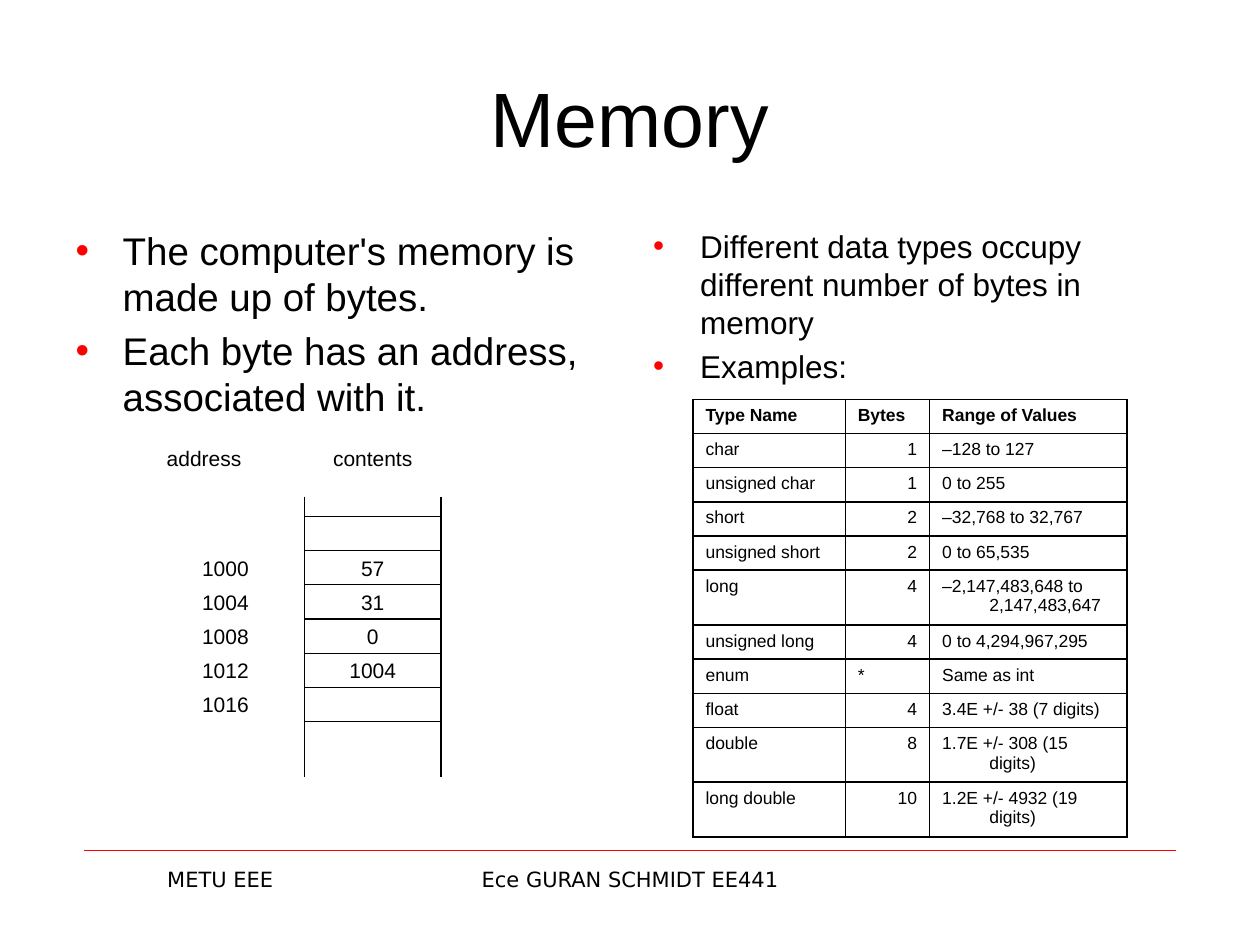
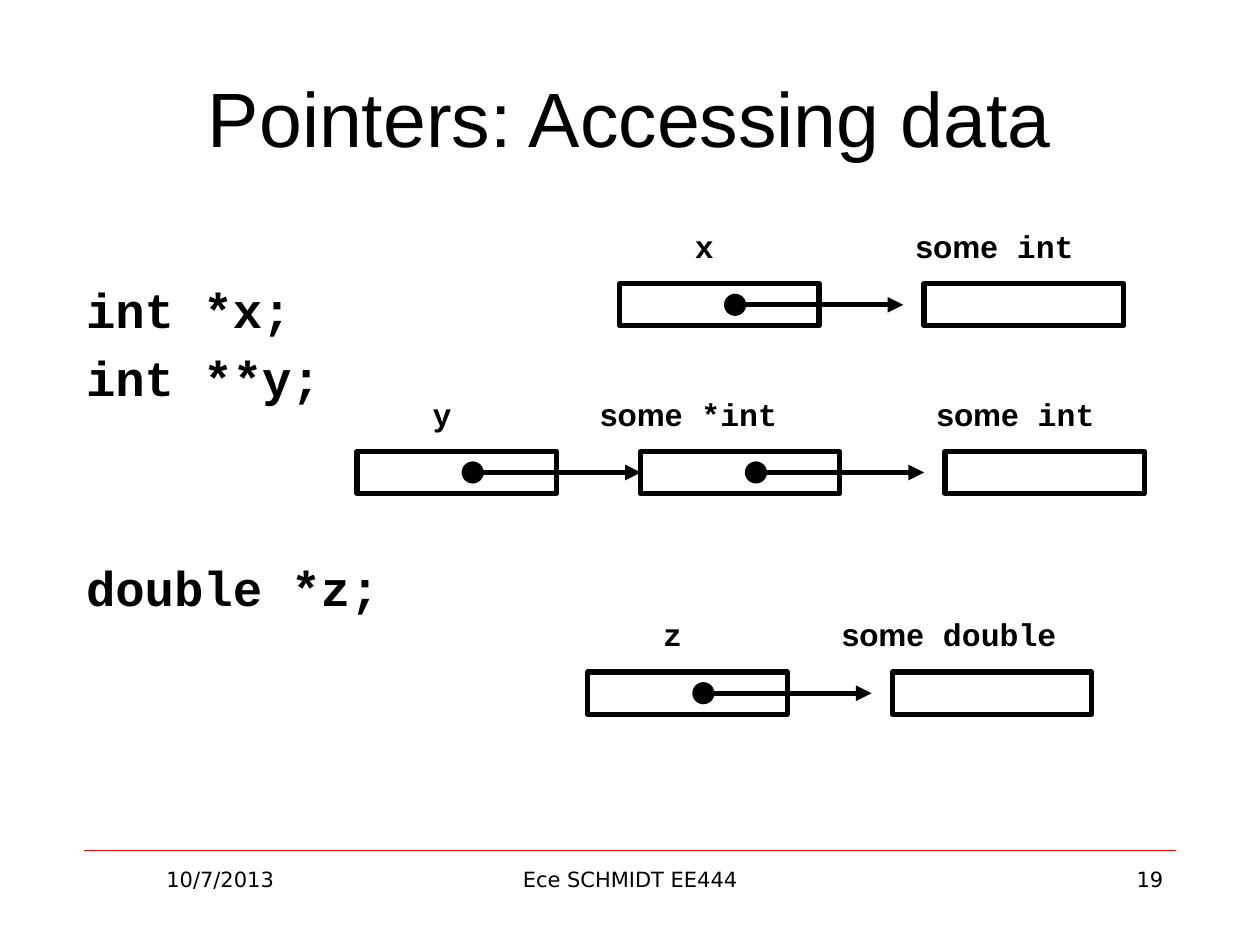
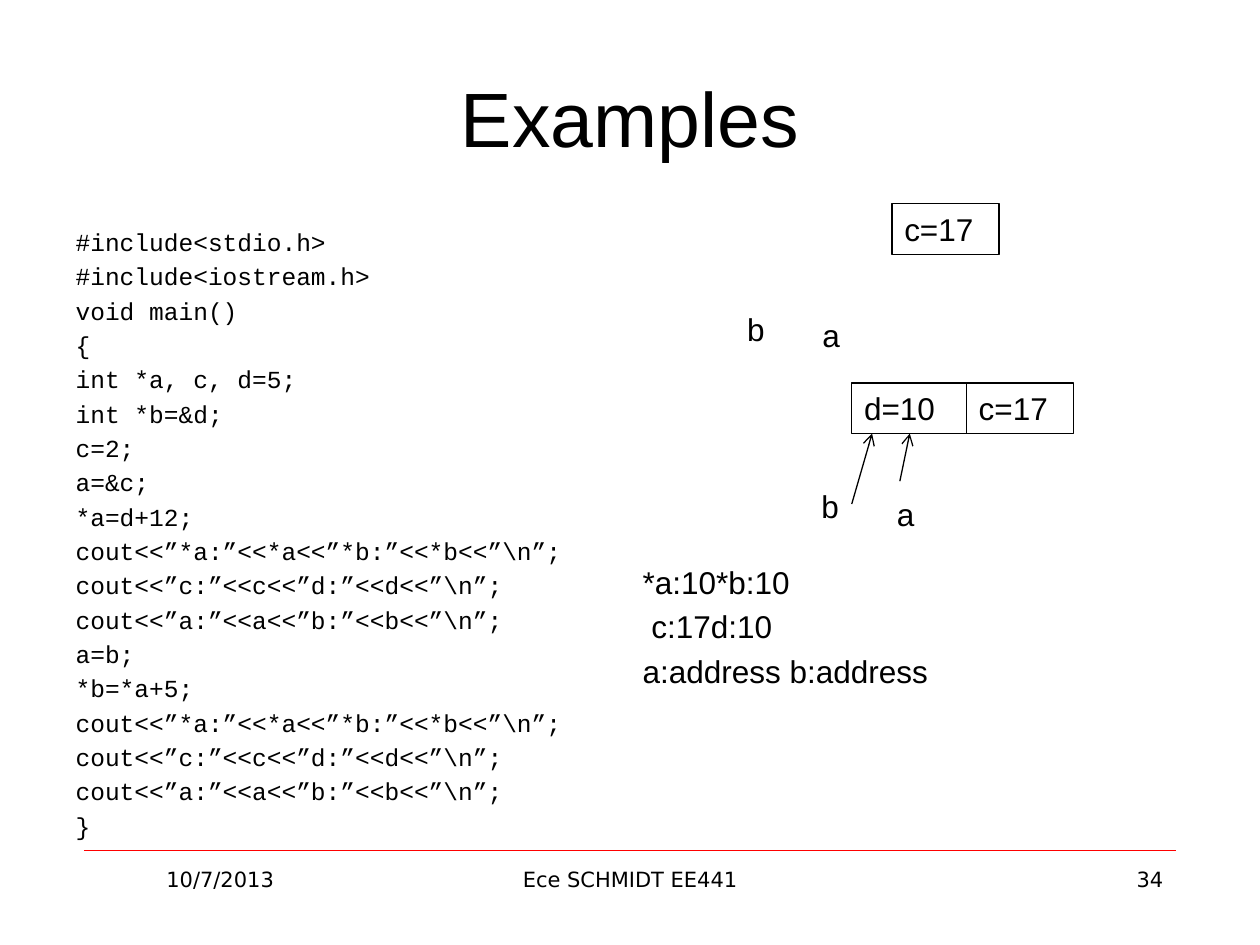
"""Builds three lecture slides about memory and pointers."""
from dataclasses import dataclass

from lxml import etree
from pptx import Presentation
from pptx.dml.color import RGBColor
from pptx.enum.shapes import MSO_CONNECTOR, MSO_SHAPE
from pptx.enum.text import MSO_ANCHOR, MSO_AUTO_SIZE, PP_ALIGN
from pptx.oxml.ns import qn
from pptx.util import Cm, Pt

LEFT, CENTER, RIGHT = PP_ALIGN.LEFT, PP_ALIGN.CENTER, PP_ALIGN.RIGHT
TOP, MIDDLE = MSO_ANCHOR.TOP, MSO_ANCHOR.MIDDLE
RECTANGLE, OVAL = MSO_SHAPE.RECTANGLE, MSO_SHAPE.OVAL
STRAIGHT = MSO_CONNECTOR.STRAIGHT
NO_FIT = MSO_AUTO_SIZE.NONE
ONE_BODY, TWO_BODIES = 1, 3


@dataclass(frozen=True)
class Theme:
    """Colours, fonts, type sizes and line widths of the deck."""
    ink: str = "000000"
    accent: str = "FF0000"
    sans: str = "Arial"
    mono: str = "Courier New"
    small_print: str = "DejaVu Sans"
    title: int = 44
    declaration: int = 28
    lead: int = 22
    text: int = 18
    code: int = 14
    caption: int = 12
    cell: int = 10
    hairline: float = 0.25
    thin: float = 0.75
    grid: float = 1
    thick: float = 3
    hang: float = 0.95


THEME = Theme()


@dataclass(frozen=True)
class Box:
    """A rectangle in centimetres."""
    left: float
    top: float
    width: float
    height: float

    def inner(self, dx, dy, width, height):
        """Return a box placed relative to this one."""
        return Box(self.left + dx, self.top + dy, width, height)

    def lengths(self):
        """Return left, top, width and height as lengths."""
        return [Cm(v) for v in (self.left, self.top, self.width, self.height)]


TITLE_BOX = Box(1.27, 0.76, 22.86, 3.18)
FOOTER_BOX = Box(1.69, 17.15, 22.01, 1.52)
LEFT_COLUMN = Box(1.27, 4.45, 11.23, 4.88)
RIGHT_COLUMN = Box(12.91, 4.45, 11.23, 4.24)


def apply(target, values):
    """Set each named attribute of the target."""
    for name, value in values.items():
        setattr(target, name, value)


def font_style(size, name=THEME.sans, bold=False):
    """Return the format values of a font."""
    return {"name": name, "size": Pt(size), "bold": bold}


def write(frame, paras, style, align=LEFT, **frame_format):
    """Fill a frame; a paragraph is a string or a list of (text, style)."""
    apply(frame, {"word_wrap": True, **frame_format})
    for index, spans in enumerate(paras):
        para = frame.add_paragraph() if index else frame.paragraphs[0]
        para.alignment = align
        if isinstance(spans, str):
            spans = [(spans, style)]
        for text, span_style in spans:
            span = para.add_run()
            span.text = text
            apply(span.font, span_style)
            span.font.color.rgb = RGBColor.from_string(THEME.ink)


def hang_indent(para, marker=None):
    """Give a paragraph a hanging indent and, if set, a coloured bullet."""
    props = para._p.get_or_add_pPr()
    props.set("marL", str(Cm(THEME.hang)))
    props.set("indent", str(-Cm(THEME.hang)))
    if marker:
        colour = etree.SubElement(props, qn("a:buClr"))
        etree.SubElement(colour, qn("a:srgbClr"), val=THEME.accent)
        etree.SubElement(props, qn("a:buFont"), typeface=THEME.sans)
        etree.SubElement(props, qn("a:buChar"), char=marker)


def no_bullet(para):
    """Set a list paragraph flush left without a bullet."""
    props = para._p.get_or_add_pPr()
    apply_xml = {"marL": "0", "indent": "0"}
    for name, value in apply_xml.items():
        props.set(name, value)
    etree.SubElement(props, qn("a:buNone"))


def fill_body(body, box, lines, style, marker=None):
    """Place a body placeholder and write its list; return its paragraphs."""
    apply(body, dict(zip(("left", "top", "width", "height"), box.lengths())))
    write(body.text_frame, lines, style, auto_size=NO_FIT, vertical_anchor=TOP)
    for para in body.text_frame.paragraphs:
        if marker:
            hang_indent(para, marker)
        else:
            no_bullet(para)
    return body.text_frame.paragraphs


def add_label(shapes, box, spans, style, align=LEFT, **frame_format):
    """Add a one-paragraph text box."""
    label = shapes.add_textbox(*box.lengths())
    write(label.text_frame, [spans], style, align, **frame_format)


def add_outline(shapes, box, weight, kind=RECTANGLE, filled=False):
    """Add a preset shape with an ink outline."""
    shape = shapes.add_shape(kind, *box.lengths())
    shape.shadow.inherit = False
    ink = RGBColor.from_string(THEME.ink)
    if filled:
        shape.fill.solid()
        shape.fill.fore_color.rgb = ink
    else:
        shape.fill.background()
    shape.line.color.rgb = ink
    shape.line.width = Pt(weight)
    return shape


def add_line(shapes, start, end, weight, colour=THEME.ink, head=None):
    """Add a straight line, with an arrowhead at its end if one is named."""
    line = shapes.add_connector(STRAIGHT, *[Cm(v) for v in (*start, *end)])
    line.line.color.rgb = RGBColor.from_string(colour)
    line.line.width = Pt(weight)
    if head:
        etree.SubElement(line.line._get_or_add_ln(), qn("a:tailEnd"), type=head)
    etree.SubElement(line._element.spPr, qn("a:effectLst"))


def add_footer(page, box, date, course, number):
    """Draw the rule and the footer texts under it."""
    add_line(page.shapes, (box.left, box.top), (box.left + box.width, box.top),
             THEME.hairline, THEME.accent)
    style = font_style(THEME.caption, THEME.small_print)
    parts = [(0, 5.5, date, CENTER), (6.99, 8.05, course, CENTER),
             (16.51, 5.5, number, RIGHT)]
    for dx, width, text, align in parts:
        if text:
            add_label(page.shapes, box.inner(dx, 0.2, width, 1.32), text, style, align)


def add_page(deck, layout, title, *footer):
    """Add a slide with its title and footer."""
    page = deck.slides.add_slide(deck.slide_layouts[layout])
    heading = page.shapes.title
    apply(heading, dict(zip(("left", "top", "width", "height"), TITLE_BOX.lengths())))
    write(heading.text_frame, [title], font_style(THEME.title), CENTER,
          auto_size=NO_FIT, vertical_anchor=MIDDLE)
    add_footer(page, FOOTER_BOX, *footer)
    return page


def add_memory_map(page, box, rows):
    """Draw the address column and the stacked memory cells as a group."""
    shapes = page.shapes.add_group_shape().shapes
    style = font_style(THEME.caption)
    centred = {"align": CENTER, "vertical_anchor": MIDDLE,
               "margin_top": 0, "margin_bottom": 0}
    width, height = 2.75, 0.69
    cell_x, first_y = box.width - width, 1.52
    for dx, text in ((0, "address"), (cell_x, "contents")):
        add_label(shapes, box.inner(dx, 0, width, height), text, style, **centred)
    for index, (address, content) in enumerate(rows):
        y = first_y + index * height
        cell = add_outline(shapes, box.inner(cell_x, y, width, height), THEME.thin)
        if content:
            write(cell.text_frame, [content], style, **centred)
        if address:
            add_label(shapes, box.inner(0.43, y, width, height), address, style, **centred)
    for x in (box.left + cell_x, box.left + box.width):
        add_line(shapes, (x, box.top + 1.12), (x, box.top + box.height), THEME.thin)


def format_cell(cell):
    """Give a table cell black borders and no fill."""
    props = cell._tc.get_or_add_tcPr()
    for side in ("lnL", "lnR", "lnT", "lnB"):
        border = etree.SubElement(props, qn("a:" + side), w=str(Pt(THEME.grid)))
        paint = etree.SubElement(border, qn("a:solidFill"))
        etree.SubElement(paint, qn("a:srgbClr"), val=THEME.ink)
    cell.fill.background()


def add_type_table(page, box, rows, widths):
    """Add the table of data types; numbers are set right."""
    table = page.shapes.add_table(len(rows), len(widths), *box.lengths()).table
    apply(table, {"first_row": False, "horz_banding": False})
    for column, width in zip(table.columns, widths):
        column.width = Cm(width)
    for y, values in enumerate(rows):
        table.rows[y].height = Cm(box.height / len(rows))
        for x, value in enumerate(values):
            cell = table.cell(y, x)
            align = RIGHT if value.isdigit() else LEFT
            write(cell.text_frame, [value], font_style(THEME.cell, bold=y == 0), align)
            hang_indent(cell.text_frame.paragraphs[0])
            format_cell(cell)


def add_pointer_chain(page, box, cells):
    """Draw labelled cells; each but the last points to the next one.

    A cell is (offset, label spans, label shift, label width).
    """
    style = font_style(THEME.text, THEME.mono, bold=True)
    dot, arrow_start, arrow_length = 0.42, 2.33, 3.39
    middle = box.height / 2
    for index, (dx, spans, shift, width) in enumerate(cells):
        add_label(page.shapes, box.inner(dx + shift, -1.27, width, 1.27), spans, style)
        add_outline(page.shapes, box.inner(dx, 0, box.width, box.height), THEME.thick)
        if index < len(cells) - 1:
            x, y = box.left + dx + arrow_start, box.top + middle
            add_line(page.shapes, (x, y), (x + arrow_length, y), THEME.thick,
                     head="triangle")
            add_outline(page.shapes, box.inner(dx + arrow_start - dot / 2,
                                               middle - dot / 2, dot, dot),
                        THEME.thin, OVAL, filled=True)


def add_value_diagram(page, box):
    """Draw the variables' values and the pointers a and b."""
    style = font_style(THEME.text)
    values = [("c=17", 3.17, 0, 2.16), ("d=10", 2.36, 3.61, 2.31),
              ("c=17", 4.67, 3.61, 2.16)]
    for text, dx, dy, width in values:
        cell = add_outline(page.shapes, box.inner(dx, dy, width, 1.02), THEME.thin)
        write(cell.text_frame, [text], style, vertical_anchor=TOP)
    names = [("b", 0, 2.01), ("a", 1.52, 2.14), ("b", 1.5, 5.59), ("a", 3.02, 5.74)]
    for text, dx, dy in names:
        add_label(page.shapes, box.inner(dx, dy, 0.86, 1.02), text, style)
    for start_x, start_y, end_x in ((2.36, 6.05, 2.77), (3.33, 5.59, 3.53)):
        add_line(page.shapes, (box.left + start_x, box.top + start_y),
                 (box.left + end_x, box.top + 4.63), THEME.thin, head="arrow")


def build_memory(deck):
    """Slide on bytes, addresses and data types."""
    page = add_page(deck, TWO_BODIES, "Memory", "METU EEE",
                    "Ece GURAN SCHMIDT EE441", None)
    fill_body(page.placeholders[1], LEFT_COLUMN,
              ["The computer's memory is made up of bytes.",
               "Each byte has an address, associated with it."],
              font_style(THEME.lead), "•")
    add_memory_map(page, Box(2.74, 8.89, 6.15, 6.78),
                   [("", ""), ("1000", "57"), ("1004", "31"), ("1008", "0"),
                    ("1012", "1004"), ("1016", "")])
    add_type_table(page, Box(13.97, 8.05, 8.75, 7.59), [
        ("Type Name", "Bytes", "Range of Values"),
        ("char", "1", "–128 to 127"),
        ("unsigned char", "1", "0 to 255"),
        ("short", "2", "–32,768 to 32,767"),
        ("unsigned short", "2", "0 to 65,535"),
        ("long", "4", "–2,147,483,648 to 2,147,483,647"),
        ("unsigned long", "4", "0 to 4,294,967,295"),
        ("enum", "*", "Same as int"),
        ("float", "4", "3.4E +/- 38 (7 digits)"),
        ("double", "8", "1.7E +/- 308 (15 digits)"),
        ("long double", "10", "1.2E +/- 4932 (19 digits)"),
    ], (3.07, 1.7, 3.98))
    fill_body(page.placeholders[2], RIGHT_COLUMN,
              ["Different data types occupy different number of bytes in memory",
               "Examples:"], font_style(THEME.text), "•")


def build_pointers(deck):
    """Slide on pointer declarations and what they point to."""
    page = add_page(deck, ONE_BODY, "Pointers: Accessing data", "10/7/2013",
                    "Ece SCHMIDT EE444", "19")
    paras = fill_body(page.placeholders[1], Box(1.48, 5.5, 7.41, 11.43),
                      ["int *x;", "int **y;", "double *z;"],
                      font_style(THEME.declaration, THEME.mono, bold=True))
    paras[-1].space_before = Pt(86)

    def some(kind):
        return [("some", font_style(THEME.text, bold=True)),
                (" " + kind, font_style(THEME.text, THEME.mono, bold=True))]

    step, short_step = 6.14, 5.71
    chains = [
        (12.49, 5.72, [(0, "x", 1.27, 1.02), (step, some("int"), -0.42, 4.75)]),
        (7.2, 9.1, [(0, "y", 1.27, 1.02), (short_step, some("*int"), -1.06, 5.25),
                    (short_step + step, some("int"), -0.42, 4.75)]),
        (11.85, 13.55, [(0, "z", 1.27, 1.02), (step, some("double"), -1.27, 6.27)]),
    ]
    for left, top, cells in chains:
        add_pointer_chain(page, Box(left, top, 4.02, 0.85), cells)


def build_examples(deck):
    """Slide with a program, its variables and its output."""
    page = add_page(deck, TWO_BODIES, "Examples", "10/7/2013",
                    "Ece SCHMIDT EE441", "34")
    prints = ["cout<<”*a:”<<*a<<”*b:”<<*b<<”\\n”;",
              "cout<<”c:”<<c<<”d:”<<d<<”\\n”;",
              "cout<<”a:”<<a<<”b:”<<b<<”\\n”;"]
    program = ["#include<stdio.h>", "#include<iostream.h>", "void main()", "{",
               "int *a, c, d=5;", "int *b=&d;", "c=2;", "a=&c;", "*a=d+12;",
               *prints, "a=b;", "*b=*a+5;", *prints, "}"]
    fill_body(page.placeholders[1], Box(1.27, 4.45, 11.23, 12.57), program,
              font_style(THEME.code, THEME.mono))
    fill_body(page.placeholders[2], Box(12.7, 11.23, 11.23, 5.92),
              ["*a:10*b:10", " c:17d:10", "a:address b:address"],
              font_style(THEME.text))
    add_value_diagram(page, Box(14.81, 4.11, 6.83, 6.76))


def main():
    """Build and save the deck."""
    deck = Presentation()
    apply(deck, {"slide_width": Cm(25.4), "slide_height": Cm(19.05)})
    for build in (build_memory, build_pointers, build_examples):
        build(deck)
    deck.save("out.pptx")


main()
